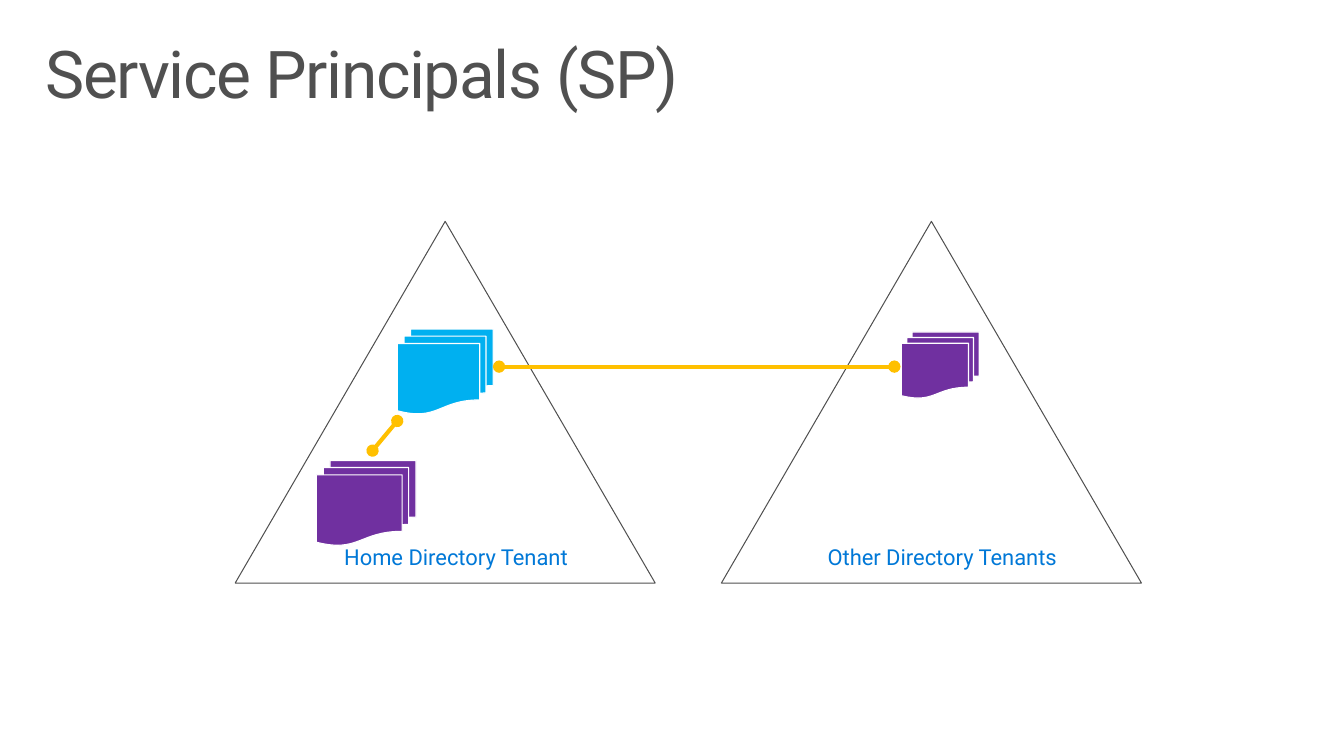
from lxml import etree
from pptx import Presentation
from pptx.dml.color import RGBColor
from pptx.enum.shapes import MSO_CONNECTOR, MSO_SHAPE
from pptx.enum.text import MSO_ANCHOR, PP_ALIGN
from pptx.oxml.ns import qn
from pptx.util import Inches, Pt

TRIANGLE = MSO_SHAPE.ISOSCELES_TRIANGLE
DOCUMENTS = MSO_SHAPE.FLOWCHART_MULTIDOCUMENT
STRAIGHT = MSO_CONNECTOR.STRAIGHT
TOP = MSO_ANCHOR.TOP
LEFT, CENTER = PP_ALIGN.LEFT, PP_ALIGN.CENTER

GRAY = RGBColor(0x50, 0x50, 0x50)
BLUE = RGBColor(0x00, 0x78, 0xD7)
SKY = RGBColor(0x00, 0xB0, 0xF0)
PURPLE = RGBColor(0x70, 0x30, 0xA0)
GOLD = RGBColor(0xFF, 0xC0, 0x00)
WHITE = RGBColor(0xFF, 0xFF, 0xFF)
FONT = "Roboto"

# Content: lengths in inches
TITLE = "Service Principals (SP)"
TENANTS = [  # label, left edge of the triangle
    ("Home Directory Tenant", 2.38),
    ("Other Directory Tenants", 7.3),
]
DOCUMENT_STACKS = [  # left, top, width, height, colour
    (4.02, 3.33, 0.97, 0.86, SKY),
    (3.2, 4.66, 1.01, 0.86, PURPLE),
    (9.12, 3.36, 0.79, 0.67, PURPLE),
]
LINKS = [  # start x, start y, end x, end y
    (4.02, 4.26, 3.77, 4.56),
    (5.05, 3.71, 9.05, 3.71),
]

# Both tenants share one layout
TRIANGLE_TOP, TRIANGLE_WIDTH, TRIANGLE_HEIGHT = 2.24, 4.25, 3.66
LABEL_OFFSET, LABEL_TOP, LABEL_WIDTH, LABEL_HEIGHT = 0.83, 5.41, 2.81, 0.57


def add_text(page, text, area, *, size, color, margins, align=LEFT,
             space_after=0, tracking=0):
    box = page.shapes.add_textbox(*map(Inches, area))
    frame = box.text_frame
    frame.word_wrap = True
    frame.vertical_anchor = TOP
    frame.margin_left = frame.margin_right = Inches(margins[0])
    frame.margin_top = frame.margin_bottom = Inches(margins[1])
    para = frame.paragraphs[0]
    para.alignment = align
    para.line_spacing = 0.9
    para.space_after = Pt(space_after)
    span = para.add_run()
    span.text = text
    span.font.name = FONT
    span.font.size = Pt(size)
    span.font.color.rgb = color
    if tracking:
        span.font._element.set("spc", str(tracking * 100))


def add_figure(page, kind, area, *, line, weight, fill=None):
    figure = page.shapes.add_shape(kind, *map(Inches, area))
    figure.shadow.inherit = False
    if fill is None:
        figure.fill.background()
    else:
        figure.fill.solid()
        figure.fill.fore_color.rgb = fill
    figure.line.color.rgb = line
    figure.line.width = Pt(weight)


def add_link(page, ends):
    link = page.shapes.add_connector(STRAIGHT, *map(Inches, ends))
    link.line.color.rgb = GOLD
    link.line.width = Pt(3)
    outline = link.line._get_or_add_ln()
    for end in ("a:headEnd", "a:tailEnd"):
        etree.SubElement(outline, qn(end), type="oval")
    etree.SubElement(link._element.spPr, qn("a:effectLst"))


def main():
    deck = Presentation()
    deck.slide_width, deck.slide_height = Inches(13.6), Inches(7.65)
    page = deck.slides.add_slide(deck.slide_layouts[6])

    # Title
    add_text(page, TITLE, (0.3, 0.32, 13, 1), size=48, color=GRAY,
             margins=(0.16, 0.1), tracking=-1)

    # Tenant triangles with labels
    for label, left in TENANTS:
        add_figure(page, TRIANGLE,
                   (left, TRIANGLE_TOP, TRIANGLE_WIDTH, TRIANGLE_HEIGHT),
                   line=GRAY, weight=0.75)
        add_text(page, label,
                 (left + LABEL_OFFSET, LABEL_TOP, LABEL_WIDTH, LABEL_HEIGHT),
                 size=16, color=BLUE, margins=(0.2, 0.16), align=CENTER,
                 space_after=6)

    # Document stacks and the links between them
    for *area, color in DOCUMENT_STACKS:
        add_figure(page, DOCUMENTS, area, line=WHITE, weight=0.85, fill=color)
    for ends in LINKS:
        add_link(page, ends)

    deck.save("out.pptx")


if __name__ == "__main__":
    main()
